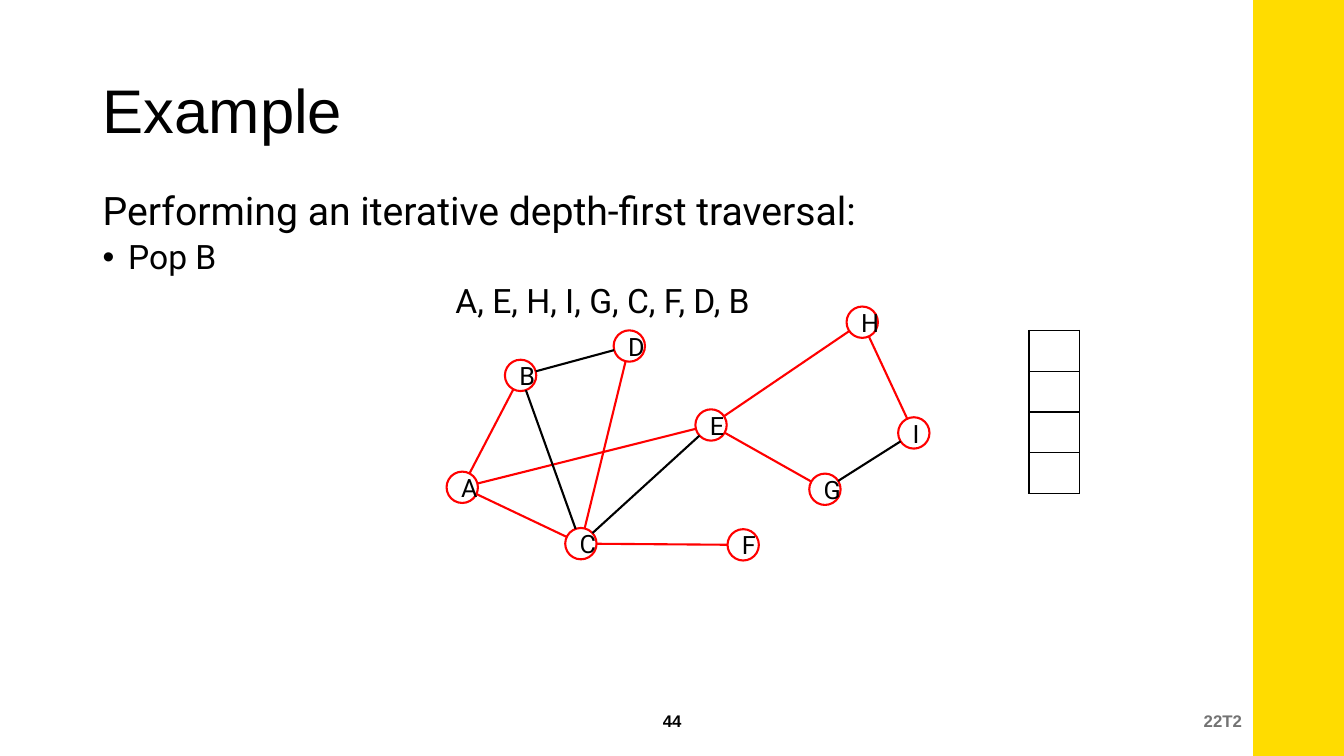
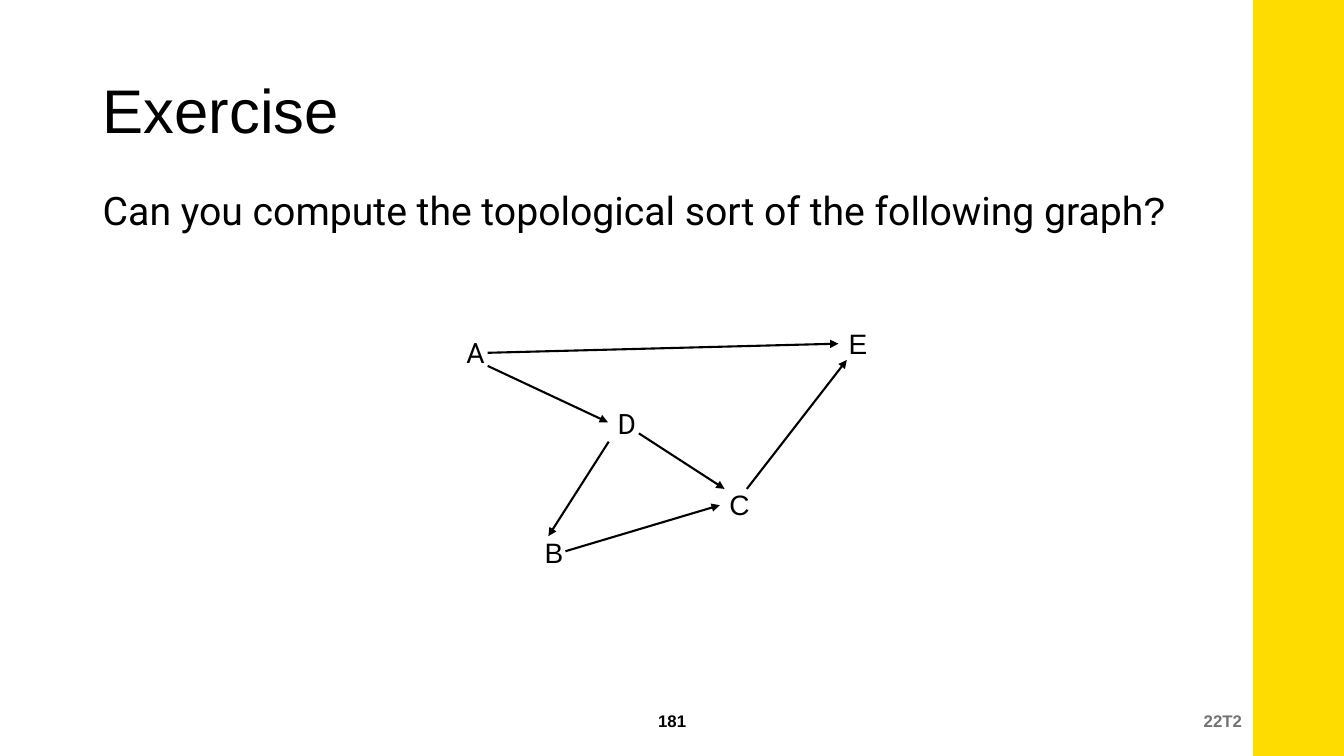
from math import hypot

from lxml.etree import SubElement
from pptx import Presentation
from pptx.dml.color import RGBColor
from pptx.enum.shapes import MSO_CONNECTOR as Connector, MSO_SHAPE as Shape
from pptx.enum.text import MSO_ANCHOR as Anchor, PP_ALIGN as Align
from pptx.oxml.ns import qn
from pptx.util import Cm, Pt

WIDTH, HEIGHT = 33.87, 19.05
BLACK, WHITE, RED, YELLOW, GREY = "000000", "FFFFFF", "FF0000", "FFDC00", "737373"
HEADING_FONT, BODY_FONT = "Arial", "Roboto"
TERM = "22T2"
BAND_WIDTH = 2.29
TITLE_BOX = (2.34, 1.02, 29.21, 3.68)
BODY_BOX = (2.34, 4.7, 29.21, 12.09)
NUMBER_BOX = (13.13, 17.65, 7.62, 1.02)
TERM_BOX = (20.12, 17.65, 11.43, 1.02)

# Slide contents: runs are (text, font); positions are in centimetres
TRAVERSAL = {
    "title": "Example",
    "number": "44",
    "body": [
        dict(runs=[("Performing an iterative depth-first traversal:", BODY_FONT)], size=28),
        dict(runs=[("Pop B", BODY_FONT)], size=24, before=5, bullet="•", indent=0.64),
        dict(runs=[("A, E, H, I, G, C, F, D, B", BODY_FONT)], size=24, before=5, indent=8.89),
    ],
}
NODE_SIZE = 0.79
NODE_CENTRES = {
    "A": (11.65, 12.28), "B": (13.12, 9.46), "C": (14.64, 13.7),
    "D": (15.86, 8.72), "E": (17.92, 10.71), "F": (18.73, 13.73),
    "G": (20.79, 12.33), "H": (21.73, 8.12), "I": (23.03, 10.91),
}
EDGES = {
    RED: ["AB", "CD", "AE", "AC", "CF", "EG", "EH", "HI"],
    BLACK: ["BD", "CE", "BC", "GI"],
}
STACK_BOX = (25.93, 8.33, 1.27, 4.11)
STACK_ROWS = 4

EXERCISE = {
    "title": "Exercise",
    "number": "181",
    "body": [
        dict(runs=[("Can you compute the topological sort of the following graph", BODY_FONT),
                   ("?", HEADING_FONT)], size=28),
    ],
}
LABEL_SIZE = (0.79, 1.12)
LABELS = [
    ("A", BODY_FONT, (11.9, 8.89)),
    ("B", HEADING_FONT, (13.87, 13.92)),
    ("C", HEADING_FONT, (18.53, 12.73)),
    ("D", BODY_FONT, (15.71, 10.67)),
    ("E", HEADING_FONT, (21.53, 8.66)),
]
ARROWS = [
    ((12.29, 9.22), (15.32, 10.64)),
    ((16.1, 10.92), (18.26, 12.32)),
    ((15.34, 11.13), (13.82, 13.51)),
    ((14.25, 13.89), (18.14, 12.73)),
    ((12.29, 8.89), (21.13, 8.66)),
    ((18.82, 12.32), (21.34, 9.07)),
]


def color(value):
    return RGBColor.from_string(value)


def lengths(values):
    return [Cm(value) for value in values]


def centred(centre, width, height):
    """Return the box of the given size around a centre."""
    return centre[0] - width / 2, centre[1] - height / 2, width, height


def write(paragraph, runs, size, fill=BLACK, bold=False, align=Align.LEFT,
          spacing=1.0, before=0, bullet=None, indent=0):
    paragraph.alignment = align
    paragraph.line_spacing = spacing
    paragraph.space_before = Pt(before)
    if indent:
        properties = paragraph._p.get_or_add_pPr()
        properties.set("marL", str(Cm(indent)))
        properties.set("indent", str(-Cm(indent) if bullet else 0))
        if bullet:
            SubElement(properties, qn("a:buFont"), typeface="Arial")
            SubElement(properties, qn("a:buChar"), char=bullet)
    for text, font in runs:
        run = paragraph.add_run()
        run.text = text
        run.font.name = font
        run.font.size = Pt(size)
        run.font.bold = bold
        run.font.color.rgb = color(fill)


def add_text(slide, box, paragraphs, anchor=Anchor.TOP, **text_format):
    frame = slide.shapes.add_textbox(*lengths(box)).text_frame
    frame.word_wrap = True
    frame.vertical_anchor = anchor
    for index, content in enumerate(paragraphs):
        paragraph = frame.add_paragraph() if index else frame.paragraphs[0]
        write(paragraph, **content, **text_format)


def add_filled(slide, kind, box, fill, line=None):
    shape = slide.shapes.add_shape(kind, *lengths(box))
    shape.shadow.inherit = False
    shape.fill.solid()
    shape.fill.fore_color.rgb = color(fill)
    if line:
        shape.line.color.rgb = color(line)
        shape.line.width = Pt(1.5)
    else:
        shape.line.fill.background()
    return shape


def add_line(slide, start, end, stroke=BLACK, arrow=False):
    line = slide.shapes.add_connector(Connector.STRAIGHT, *lengths(start + end))
    line.line.color.rgb = color(stroke)
    line.line.width = Pt(1.5)
    if arrow:
        SubElement(line.line._get_or_add_ln(), qn("a:tailEnd"), type="triangle")
    SubElement(line._element.spPr, qn("a:effectLst"))


def add_base_slide(presentation, content):
    """Add a slide with the shared band, title, body and footer."""
    slide = presentation.slides.add_slide(presentation.slide_layouts[6])
    add_filled(slide, Shape.RECTANGLE, (WIDTH - BAND_WIDTH, 0, BAND_WIDTH, HEIGHT), YELLOW)
    add_text(slide, TITLE_BOX, [dict(runs=[(content["title"], HEADING_FONT)], size=44)],
             anchor=Anchor.MIDDLE, spacing=0.9)
    add_text(slide, BODY_BOX, content["body"], spacing=0.9)
    for box, text, fill, align in [(TERM_BOX, TERM, GREY, Align.RIGHT),
                                   (NUMBER_BOX, content["number"], BLACK, Align.CENTER)]:
        add_text(slide, box, [dict(runs=[(text, HEADING_FONT)], size=12)],
                 anchor=Anchor.MIDDLE, fill=fill, bold=True, align=align)
    return slide


def add_edge(slide, first, second, stroke):
    """Join two nodes from rim to rim."""
    (x1, y1), (x2, y2) = NODE_CENTRES[first], NODE_CENTRES[second]
    share = NODE_SIZE / 2 / hypot(x2 - x1, y2 - y1)
    dx, dy = (x2 - x1) * share, (y2 - y1) * share
    add_line(slide, (x1 + dx, y1 + dy), (x2 - dx, y2 - dy), stroke)


def add_stack(slide):
    table = slide.shapes.add_table(STACK_ROWS, 1, *lengths(STACK_BOX)).table
    table.first_row = table.horz_banding = False
    for row in table.rows:
        cell = row.cells[0]
        cell.margin_top = cell.margin_bottom = 0
        properties = cell._tc.get_or_add_tcPr()
        for side in ("lnL", "lnR", "lnT", "lnB"):
            border = SubElement(properties, qn(f"a:{side}"), w=str(Pt(1)))
            SubElement(SubElement(border, qn("a:solidFill")), qn("a:srgbClr"), val=BLACK)
        cell.fill.solid()
        cell.fill.fore_color.rgb = color(WHITE)


def build_traversal(presentation):
    slide = add_base_slide(presentation, TRAVERSAL)
    add_stack(slide)
    for name, centre in NODE_CENTRES.items():
        node = add_filled(slide, Shape.OVAL, centred(centre, NODE_SIZE, NODE_SIZE), WHITE, RED)
        write(node.text_frame.paragraphs[0], [(name, BODY_FONT)], 18, align=Align.CENTER)
    for stroke, pairs in EDGES.items():
        for first, second in pairs:
            add_edge(slide, first, second, stroke)


def build_exercise(presentation):
    slide = add_base_slide(presentation, EXERCISE)
    for name, font, centre in LABELS:
        add_text(slide, centred(centre, *LABEL_SIZE), [dict(runs=[(name, font)], size=20)],
                 align=Align.CENTER)
    for start, end in ARROWS:
        add_line(slide, start, end, arrow=True)


def main():
    presentation = Presentation()
    presentation.slide_width, presentation.slide_height = Cm(WIDTH), Cm(HEIGHT)
    build_traversal(presentation)
    build_exercise(presentation)
    presentation.save("out.pptx")


if __name__ == "__main__":
    main()
